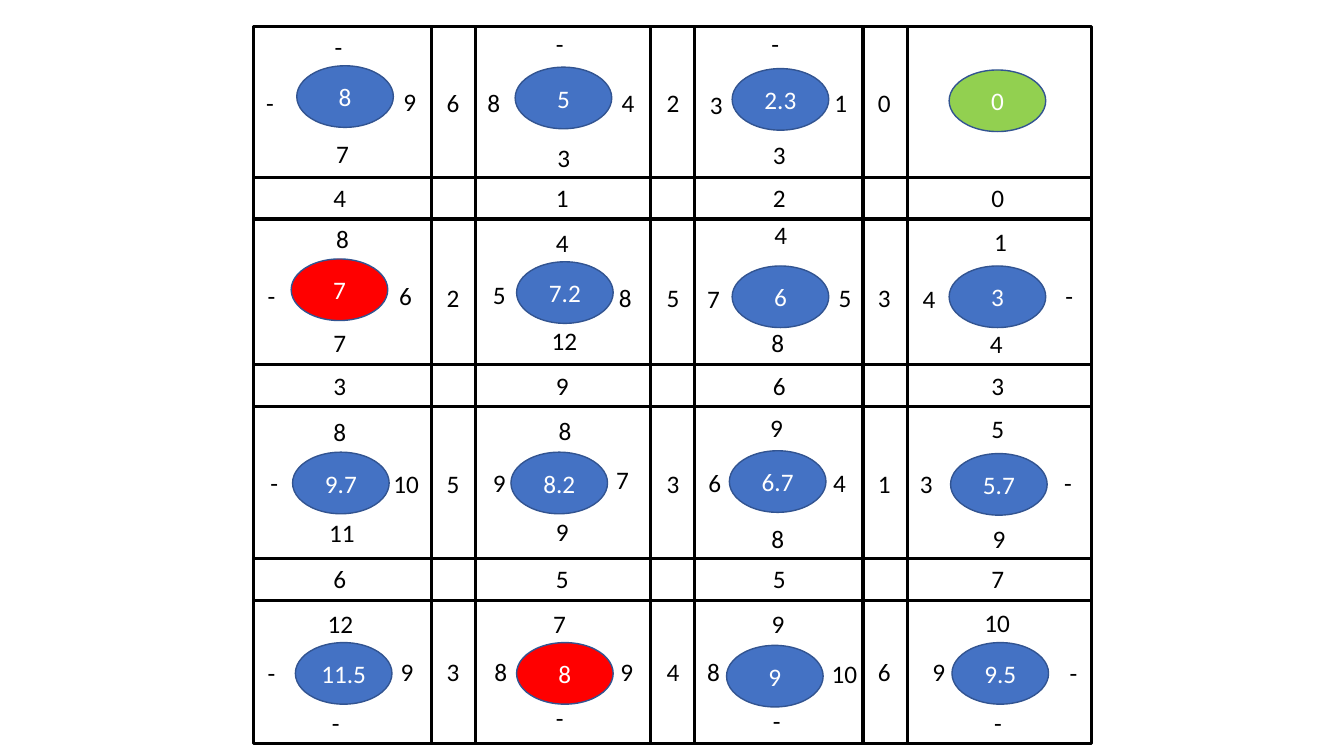
from dataclasses import dataclass
from itertools import product

from pptx import Presentation
from pptx.dml.color import RGBColor
from pptx.enum.shapes import MSO_CONNECTOR, MSO_SHAPE
from pptx.enum.text import MSO_ANCHOR, PP_ALIGN
from pptx.oxml.ns import qn
from pptx.slide import Slide
from pptx.text.text import TextFrame
from pptx.util import Pt
from lxml import etree

RECT, OVAL = MSO_SHAPE.RECTANGLE, MSO_SHAPE.OVAL
LINE = MSO_CONNECTOR.STRAIGHT
LEFT, MID = PP_ALIGN.LEFT, PP_ALIGN.CENTER
TOP, CORE = MSO_ANCHOR.TOP, MSO_ANCHOR.MIDDLE


@dataclass(frozen=True)
class Theme:
    """Colours, font and sizes."""
    black: str = "000000"
    white: str = "FFFFFF"
    blue: str = "4472C4"
    red: str = "FF0000"
    green: str = "92D050"
    edge: str = "325491"
    font: str = "Calibri"
    size: float = 18
    rule: float = 2.25
    thin: float = 1


@dataclass(frozen=True)
class Mark:
    """A number or dash and its place."""
    text: str
    x: float
    y: float


@dataclass(frozen=True)
class Cell:
    """An oval value with the marks around it: top, right, bottom, left."""
    value: str
    x: float
    y: float
    marks: tuple[Mark, ...] = ()
    fill: str = Theme.blue
    wide: float = 41


THEME = Theme()
SLIM, TALL = 27, 29
OVAL_W, OVAL_H = 69, 44
BOX_X, BOX_Y, BOX_W, BOX_H = 181, 19, 599, 512
LANE_W, LANE_H = 31.6, 30
LANE_X = (308, 464.5, 616.5)
LANE_Y = (126.5, 260.5, 399)

# Numbers in the narrow lanes: between columns, then between rows
SIDE_X, SIDE_Y = (312, 469, 620), (59, 198, 331, 465)
SIDE = ("620", "253", "531", "346")
DOWN_X, DOWN_Y = (231, 390, 545, 701), (127, 261, 399)
DOWN = ("4120", "3963", "6557")

CELLS = (
    Cell("8", 212, 47, (Mark("-", 232, 19), Mark("9", 281, 58),
                        Mark("7", 233, 95), Mark("-", 183, 59))),
    Cell("5", 368, 48, (Mark("-", 390, 17), Mark("4", 437, 59),
                        Mark("3", 391, 98), Mark("8", 341, 59))),
    Cell("2.3", 523, 49, (Mark("-", 544, 17), Mark("1", 589, 59),
                          Mark("3", 545, 96), Mark("3", 500, 60))),
    Cell("0", 678, 50, fill=THEME.green),
    Cell("7", 208, 185, (Mark("8", 233, 156), Mark("6", 278, 197),
                         Mark("7", 231, 230), Mark("-", 184, 197)),
         fill=THEME.red, wide=SLIM),
    Cell("7.2", 369, 187, (Mark("4", 390, 159), Mark("8", 435, 198),
                           Mark("12", 387, 229), Mark("5", 345, 196))),
    Cell("6", 523, 190, (Mark("4", 546, 153), Mark("5", 592, 198),
                         Mark("8", 544, 230), Mark("7", 498, 199))),
    Cell("3", 678, 190, (Mark("1", 703, 158), Mark("-", 754, 197),
                         Mark("4", 700, 231), Mark("4", 652, 199))),
    Cell("9.7", 209, 323, (Mark("8", 231, 294), Mark("10", 274, 331),
                           Mark("11", 228, 366), Mark("-", 186, 330)), wide=SLIM),
    Cell("8.2", 365, 323, (Mark("8", 392, 293), Mark("7", 433, 328),
                           Mark("9", 390, 365), Mark("9", 345, 330)), wide=SLIM),
    Cell("6.7", 521, 322, (Mark("9", 543, 291), Mark("4", 588, 330),
                           Mark("8", 544, 370), Mark("6", 499, 330))),
    Cell("5.7", 679, 324, (Mark("5", 701, 292), Mark("-", 753, 330),
                           Mark("9", 702, 370), Mark("3", 650, 331))),
    Cell("11.5", 211, 459, (Mark("12", 227, 431), Mark("9", 279, 465),
                            Mark("-", 230, 502), Mark("-", 184, 466)), wide=SLIM),
    Cell("8", 369, 459, (Mark("7", 388, 431), Mark("9", 436, 465),
                         Mark("-", 390, 498), Mark("8", 346, 465)),
         fill=THEME.red, wide=SLIM),
    Cell("9", 519, 461, (Mark("9", 544, 431), Mark("10", 587, 467),
                         Mark("-", 545, 500), Mark("8", 498, 465)), wide=SLIM),
    Cell("9.5", 680, 459, (Mark("10", 696, 430), Mark("-", 757, 466),
                           Mark("-", 703, 502), Mark("9", 659, 465))),
)


def tint(code: str) -> RGBColor:
    """Turn a hex code into a colour."""
    return RGBColor.from_string(code)


def write(frame: TextFrame, text: str, *, hue: str = THEME.black,
          align: PP_ALIGN = LEFT, anchor: MSO_ANCHOR = TOP) -> None:
    """Put formatted text in a frame."""
    frame.word_wrap = True
    frame.vertical_anchor = anchor
    para = frame.paragraphs[0]
    para.alignment = align
    run = para.add_run()
    run.text = text
    run.font.name = THEME.font
    run.font.size = Pt(THEME.size)
    run.font.color.rgb = tint(hue)


def draw_shape(slide: Slide, kind: MSO_SHAPE, x: float, y: float, w: float,
               h: float, fill: str, edge: str, rule: float) -> TextFrame:
    """Draw a filled shape and return its text frame."""
    shape = slide.shapes.add_shape(kind, Pt(x), Pt(y), Pt(w), Pt(h))
    shape.shadow.inherit = False
    shape.fill.solid()
    shape.fill.fore_color.rgb = tint(fill)
    shape.line.color.rgb = tint(edge)
    shape.line.width = Pt(rule)
    return shape.text_frame


def draw_line(slide: Slide, x1: float, y1: float, x2: float, y2: float) -> None:
    """Draw one grid line."""
    line = slide.shapes.add_connector(LINE, Pt(x1), Pt(y1), Pt(x2), Pt(y2))
    line.line.color.rgb = tint(THEME.black)
    line.line.width = Pt(THEME.rule)
    etree.SubElement(line._element.spPr, qn("a:effectLst"))


def draw_mark(slide: Slide, mark: Mark, wide: float = SLIM) -> None:
    """Draw one number or dash."""
    box = slide.shapes.add_textbox(Pt(mark.x), Pt(mark.y), Pt(wide), Pt(TALL))
    write(box.text_frame, mark.text)


def draw_grid(slide: Slide) -> None:
    """Draw the frame and the lines on both sides of each lane."""
    draw_shape(slide, RECT, BOX_X, BOX_Y, BOX_W, BOX_H,
               THEME.white, THEME.black, THEME.rule)
    for x, step in product(LANE_X, (0, LANE_W)):
        draw_line(slide, x + step, BOX_Y, x + step, BOX_Y + BOX_H)
    for y, step in product(LANE_Y, (0, LANE_H)):
        draw_line(slide, BOX_X, y + step, BOX_X + BOX_W, y + step)


def draw_lanes(slide: Slide) -> None:
    """Draw the numbers in the lanes."""
    for xs, ys, rows in ((SIDE_X, SIDE_Y, SIDE), (DOWN_X, DOWN_Y, DOWN)):
        for y, row in zip(ys, rows):
            for x, text in zip(xs, row):
                draw_mark(slide, Mark(text, x, y))


def draw_cell(slide: Slide, cell: Cell) -> None:
    """Draw a cell's marks and its oval."""
    for mark in cell.marks:
        draw_mark(slide, mark, cell.wide if len(mark.text) == 1 else Cell.wide)
    frame = draw_shape(slide, OVAL, cell.x, cell.y, OVAL_W, OVAL_H,
                       cell.fill, THEME.edge, THEME.thin)
    write(frame, cell.value, hue=THEME.white, align=MID, anchor=CORE)


def main() -> None:
    """Build and save the slide."""
    deck = Presentation()
    deck.slide_width, deck.slide_height = Pt(960), Pt(540)
    slide = deck.slides.add_slide(deck.slide_layouts[6])
    draw_grid(slide)
    draw_lanes(slide)
    for cell in CELLS:
        draw_cell(slide, cell)
    deck.save("out.pptx")


main()
